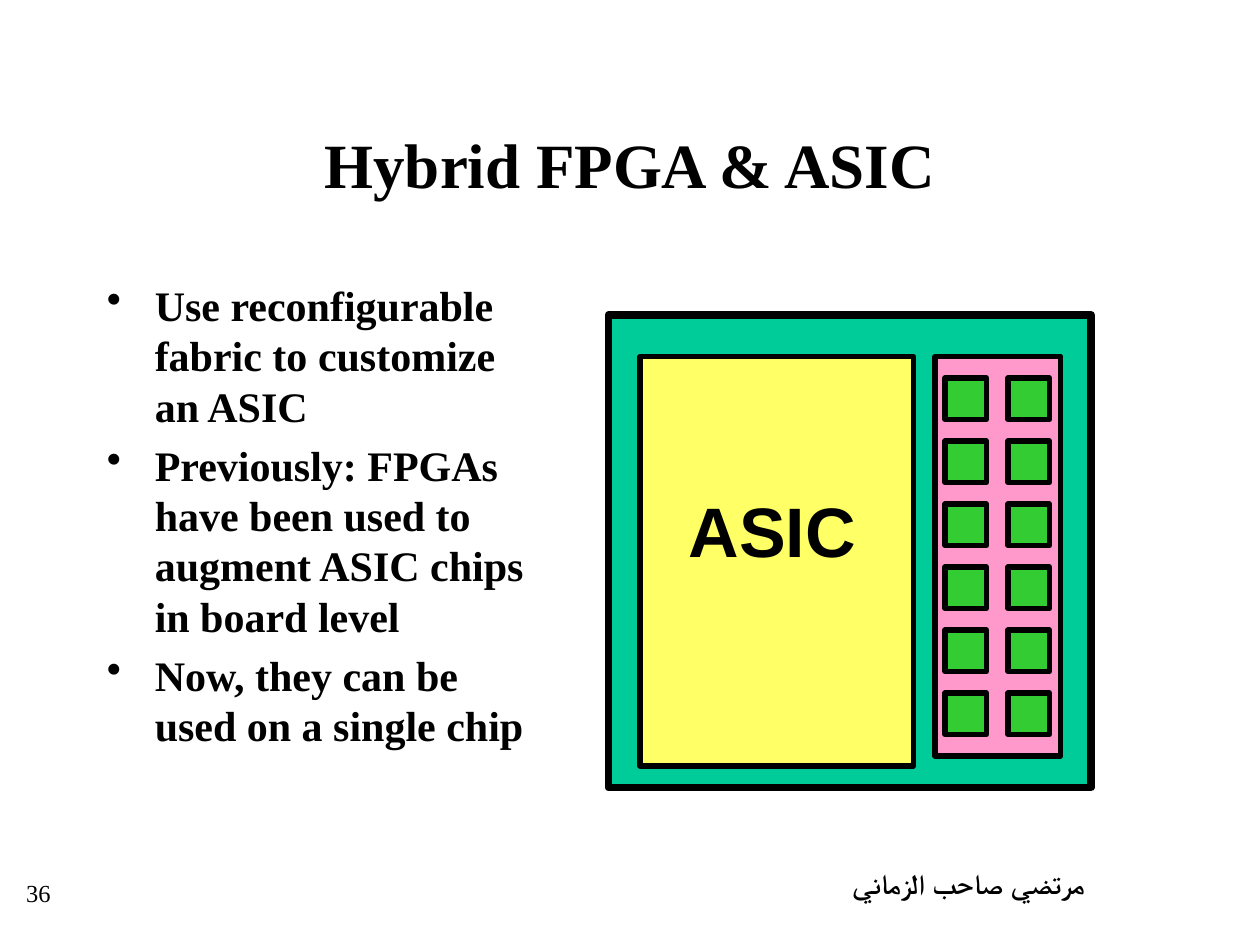
from dataclasses import dataclass

from lxml import etree
from pptx import Presentation
from pptx.dml.color import RGBColor
from pptx.enum.shapes import MSO_SHAPE
from pptx.enum.text import MSO_ANCHOR, PP_ALIGN
from pptx.oxml.ns import qn
from pptx.util import Inches, Pt

RECT = MSO_SHAPE.RECTANGLE
TOP, MIDDLE = MSO_ANCHOR.TOP, MSO_ANCHOR.MIDDLE
LEFT, CENTER, RIGHT = PP_ALIGN.LEFT, PP_ALIGN.CENTER, PP_ALIGN.RIGHT
SERIF, SANS = "Times New Roman", "Arial"
BLACK = "000000"


@dataclass
class Box:
    left: float
    top: float
    width: float
    height: float

    def place(self):
        """Return the four lengths in the order python-pptx takes them."""
        return [Inches(v) for v in (self.left, self.top, self.width, self.height)]


@dataclass
class Style:
    size: float
    bold: bool = True
    font: str = SERIF
    align: PP_ALIGN = LEFT
    anchor: MSO_ANCHOR = TOP
    before: float = 0


POINTS = [
    "Use reconfigurable fabric to customize an ASIC",
    "Previously: FPGAs have been used to augment ASIC chips in board level",
    "Now, they can be used on a single chip",
]
CHIP = Box(4.83, 2.5, 3.83, 3.75)
CORE = Box(5.08, 2.83, 2.17, 3.25)
FABRIC = Box(7.42, 2.83, 1, 3.17)
ROWS, COLS, PITCH, CELL = 6, 2, 0.5, 0.33


def color(code: str) -> RGBColor:
    return RGBColor.from_string(code)


def add_text(slide, box: Box, lines: list[str], style: Style):
    frame = slide.shapes.add_textbox(*box.place()).text_frame
    frame.word_wrap = True
    frame.vertical_anchor = style.anchor
    frame.text = "\n".join(lines)
    for para in frame.paragraphs:
        para.alignment = style.align
        para.space_before = Pt(style.before)
        for run in para.runs:
            font = run.font
            font.name, font.size, font.bold = style.font, Pt(style.size), style.bold
            font.color.rgb = color(BLACK)
    return frame


def add_bullet(para) -> None:
    props = para._p.get_or_add_pPr()
    props.set("marL", str(Inches(0.38)))
    props.set("indent", str(Inches(-0.38)))
    etree.SubElement(props, qn("a:buChar")).set("char", "•")


def add_rect(slide, box: Box, fill: str, weight: float = 3) -> None:
    rect = slide.shapes.add_shape(RECT, *box.place())
    rect.shadow.inherit = False
    rect.fill.solid()
    rect.fill.fore_color.rgb = color(fill)
    rect.line.color.rgb = color(BLACK)
    rect.line.width = Pt(weight)


def draw_chip(slide) -> None:
    add_rect(slide, CHIP, "00CC99", 4.5)
    add_rect(slide, CORE, "FFFF66")
    add_rect(slide, FABRIC, "FF99CC")
    for row in range(ROWS):
        for col in range(COLS):
            cell = Box(7.5 + col * PITCH, 3 + row * PITCH, CELL, CELL)
            add_rect(slide, cell, "33CC33")
    add_text(slide, Box(5.17, 3.82, 1.92, 0.77), ["ASIC"],
             Style(40, font=SANS, align=CENTER))


def main() -> None:
    deck = Presentation()
    deck.slide_width, deck.slide_height = Inches(10), Inches(7.5)
    slide = deck.slides.add_slide(deck.slide_layouts[6])

    add_text(slide, Box(0.75, 0.67, 8.5, 1.25), ["Hybrid FPGA & ASIC"],
             Style(36, align=CENTER, anchor=MIDDLE))
    body = add_text(slide, Box(0.75, 2.17, 3.58, 4.5), POINTS, Style(24, before=4.8))
    for para in body.paragraphs:
        add_bullet(para)

    author = add_text(slide, Box(6.08, 6.83, 3.17, 0.5), ["مرتضي صاحب الزماني"],
                      Style(16, align=RIGHT))
    author.margin_right = Inches(0.64)
    author.paragraphs[0]._p.get_or_add_pPr().set("rtl", "1")
    add_text(slide, Box(0.08, 6.92, 0.42, 0.42), ["36"],
             Style(14, bold=False, align=RIGHT))

    draw_chip(slide)
    deck.save("out.pptx")


if __name__ == "__main__":
    main()
